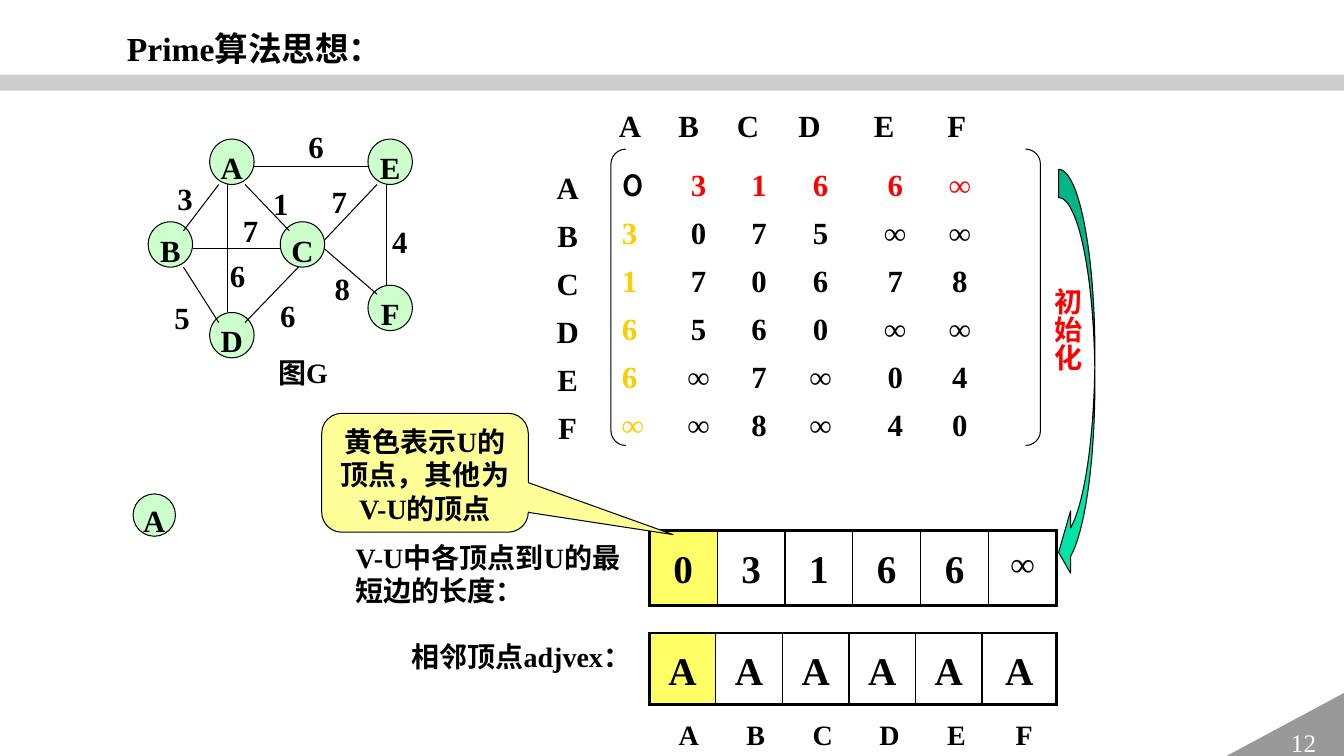
"""Build the slide on the Prime minimum spanning tree idea: graph, matrix and arrays."""
from dataclasses import dataclass
from typing import Optional

from lxml import etree
from pptx import Presentation
from pptx import util as u
from pptx.dml.color import RGBColor
from pptx.enum import shapes, text
from pptx.oxml.ns import qn

COLOURS = {
    "black": "000000", "white": "FFFFFF", "red": "FF0000", "gold": "FFCC00",
    "node": "CCFFCC", "seen": "FFFF66", "note": "FFFF99", "arrow": "00E4A8",
    "corner": "999999", "bar": "A6A6A6",
}
SERIF = "Times New Roman"
NO_GRID_STYLE = "{2D5ABB26-0587-4C30-8999-92F81FD0307C}"
WIDTH, HEIGHT = u.Inches(13.33), u.Inches(7.5)
COLUMNS, ROWS = 133.3, 75
VERTICES = "ABCDEF"
Point = tuple[float, float]
Area = tuple[float, float, float, float]


@dataclass
class Span:
    words: str
    size: float = 22
    colour: str = "black"
    font: str = SERIF
    bold: bool = True


@dataclass
class Node:
    name: str
    corner: Point
    size: Point = (4.4, 4.5)


@dataclass
class Edge:
    start: Point
    end: Point
    weight: str
    label: Point


@dataclass
class Strip:
    area: Area
    values: list[str]
    last_width: float
    size: float = 28
    last_size: float = 28
    ruled: bool = True


NODES = [
    Node("C", (27.8, 22)), Node("A", (20.8, 13.8)), Node("D", (20.8, 31)),
    Node("E", (36.5, 13.8)), Node("B", (14.7, 22)), Node("F", (36.5, 28.3)),
    Node("A", (13.2, 49), (4.2, 4.2)),
]
EDGES = [
    Edge((21.7, 18.3), (18.2, 22.9), "3", (17.6, 16.7)),
    Edge((18.2, 26.5), (21.7, 32), "5", (17.3, 28.5)),
    Edge((19.1, 24.7), (27.8, 24.7), "7", (24.1, 19.9)),
    Edge((22.6, 18.3), (22.6, 31), "6", (22.8, 24.4)),
    Edge((24.3, 18.3), (28.7, 22.9), "1", (27.1, 17.2)),
    Edge((29.6, 26.5), (24.3, 32), "6", (27.8, 28.3)),
    Edge((37.4, 18.3), (32.2, 23.8), "7", (32.9, 17)),
    Edge((32.2, 24.7), (37.4, 29.2), "8", (33.2, 25.7)),
    Edge((38.3, 18.3), (38.3, 28.3), "4", (38.9, 21)),
    Edge((25.2, 16.5), (36.5, 16.5), "6", (30.6, 11.6)),
]
MATRIX = ["03166∞", "3075∞∞", "170678", "6560∞∞", "6∞7∞04", "∞∞8∞40"]
MATRIX_TABS = [7.6, 13.6, 19.7, 27.1, 33.5]
HEADER_TABS = [1.6, 7.4, 13.3, 19.4, 26.8, 34]
STRIPS = [
    Strip((64.4, 52.6, 40.4, 7.5), list("03166∞"), 6.74, last_size=24),
    Strip((64.4, 62.8, 40.4, 6.7), ["A"] * 6, 7.4),
    Strip((65, 70.1, 40, 4.3), list(VERTICES), 6.8, 20, 20, False),
]

deck = Presentation()
deck.slide_width, deck.slide_height = WIDTH, HEIGHT
page = deck.slides.add_slide(deck.slide_layouts[6])


def across(columns: float) -> int:
    return round(WIDTH * columns / COLUMNS)


def down(rows: float) -> int:
    return round(HEIGHT * rows / ROWS)


def place(area: Area) -> tuple[int, int, int, int]:
    left, top, width, height = area
    return across(left), down(top), across(width), down(height)


def rgb(name: str) -> RGBColor:
    return RGBColor.from_string(COLOURS[name])


def write(frame, paras: list[list[Span]], centred: bool = False, spacing: float = 1.3,
          tabs: Optional[list[float]] = None) -> None:
    for index, spans in enumerate(paras):
        para = frame.add_paragraph() if index else frame.paragraphs[0]
        para.alignment = text.PP_ALIGN.CENTER if centred else text.PP_ALIGN.LEFT
        para.line_spacing = spacing
        if tabs:
            stops = etree.SubElement(para._p.get_or_add_pPr(), qn("a:tabLst"))
            for stop in tabs:
                etree.SubElement(stops, qn("a:tab"), pos=str(across(stop)), algn="ctr")
        for span in spans:
            run = para.add_run()
            run.text = span.words
            run.font.name, run.font.size = span.font, u.Pt(span.size)
            run.font.bold, run.font.color.rgb = span.bold, rgb(span.colour)


def add_text(area: Area, paras: list[list[Span]], inset: bool = True, vertical: bool = False,
             **layout) -> None:
    frame = page.shapes.add_textbox(*place(area)).text_frame
    frame.word_wrap = True
    frame.auto_size = text.MSO_AUTO_SIZE.SHAPE_TO_FIT_TEXT
    if not inset:
        frame.margin_left = frame.margin_top = frame.margin_right = frame.margin_bottom = 0
    if vertical:
        frame._txBody.bodyPr.set("vert", "eaVert")
    write(frame, paras, **layout)


def add_figure(kind, area: Area, fill: Optional[str] = None, lined: bool = True,
               adjust: tuple[float, ...] = ()):
    figure = page.shapes.add_shape(kind, *place(area))
    figure.shadow.inherit = False
    for index, value in enumerate(adjust):
        figure.adjustments[index] = value
    if fill:
        figure.fill.solid()
        figure.fill.fore_color.rgb = rgb(fill)
    else:
        figure.fill.background()
    if lined:
        figure.line.color.rgb, figure.line.width = rgb("black"), u.Pt(0.75)
    else:
        figure.line.fill.background()
    return figure


def add_node(node: Node) -> None:
    circle = add_figure(shapes.MSO_SHAPE.OVAL, node.corner + node.size, "node")
    circle.text_frame.word_wrap = False
    circle.text_frame.vertical_anchor = text.MSO_ANCHOR.MIDDLE
    write(circle.text_frame, [[Span(node.name)]], centred=True)


def add_edge(edge: Edge) -> None:
    (x1, y1), (x2, y2) = edge.start, edge.end
    line = page.shapes.add_connector(shapes.MSO_CONNECTOR.STRAIGHT,
                                     across(x1), down(y1), across(x2), down(y2))
    line.line.color.rgb, line.line.width = rgb("black"), u.Pt(0.75)
    etree.SubElement(line._element.spPr, qn("a:effectLst"))
    add_text(edge.label + (1.7, 4.3), [[Span(edge.weight)]], inset=False)


def rule_cell(cell, first: bool, last: bool) -> None:
    widths = {"lnL": 2.25 if first else 1, "lnR": 2.25 if last else 1, "lnT": 2.25, "lnB": 2.25}
    for side, width in widths.items():
        border = etree.SubElement(cell._tc.get_or_add_tcPr(), qn(f"a:{side}"),
                                  w=str(u.Pt(width)))
        paint = etree.SubElement(border, qn("a:solidFill"))
        etree.SubElement(paint, qn("a:srgbClr"), val=COLOURS["black"])


def add_strip(strip: Strip) -> None:
    count = len(strip.values)
    table = page.shapes.add_table(1, count, *place(strip.area)).table
    table.first_row = table.horz_banding = False
    table._tbl.tblPr.find(qn("a:tableStyleId")).text = NO_GRID_STYLE
    for index, value in enumerate(strip.values):
        last = index == count - 1
        share = (strip.area[2] - strip.last_width) / (count - 1)
        table.columns[index].width = across(strip.last_width if last else share)
        cell = table.cell(0, index)
        if strip.ruled:
            rule_cell(cell, index == 0, last)
        if strip.ruled and index == 0:
            cell.fill.solid()
            cell.fill.fore_color.rgb = rgb("seen")
        else:
            cell.fill.background()
        size = strip.last_size if last else strip.size
        write(cell.text_frame, [[Span(value, size)]], centred=True)


def matrix_row(index: int, values: str) -> list[Span]:
    first = Span(values[0], font="Cabin") if index == 0 else Span(values[0], colour="gold")
    rest = "".join(f"\t{value}" for value in values[1:])
    return [first, Span(rest, colour="black" if index else "red")]


def main() -> None:
    kinds = shapes.MSO_SHAPE
    bar = add_figure(kinds.RECTANGLE, (0, 7.4, COLUMNS, 1.6), "bar", False)
    tint = bar._element.spPr.find(qn("a:solidFill"))[0]
    etree.SubElement(tint, qn("a:alpha"), val="56000")
    corner = add_figure(kinds.RIGHT_TRIANGLE, (121.1, 68.7, 12.3, 6.6), "corner", False)
    corner._element.spPr.find(qn("a:xfrm")).set("flipH", "1")
    corner.text_frame.vertical_anchor = text.MSO_ANCHOR.MIDDLE
    write(corner.text_frame, [[Span("12", 18, "white", bold=False)]], centred=True, spacing=1)

    add_text((11.6, 1.1, 32.2, 5.7), [[Span("Prime算法思想：", 24)]])
    for strip in STRIPS:
        add_strip(strip)
    add_text((60.7, 14.8, 44.2, 29.9),
             [matrix_row(index, values) for index, values in enumerate(MATRIX)],
             tabs=MATRIX_TABS)
    add_figure(kinds.DOUBLE_BRACKET, (60.6, 14.8, 42.6, 29.4), adjust=(0.05,))
    add_figure(kinds.CURVED_LEFT_ARROW, (105, 16.8, 3.6, 41.1), "arrow",
               adjust=(0.78, 1.72, 0.33))
    add_text((39.5, 62, 24.4, 5.4), [[Span("相邻顶点adjvex：", 20)]], centred=True)
    add_text((34.3, 53.1, 30, 7.7), [[Span("V-U中各顶点到U的最短边的长度：", 20)]], spacing=1)
    add_text((103, 27.6, 6, 17.5), [[Span("初始化", 20, "red")]], vertical=True, centred=True)

    for node in NODES:
        add_node(node)
    add_text((26.6, 33.8, 7, 5), [[Span("图G", 20)]])
    for edge in EDGES:
        add_edge(edge)

    header = "".join(f"\t{name}" for name in VERTICES)
    add_text((59.9, 9, 42.5, 5.4), [[Span(header)]], tabs=HEADER_TABS)
    add_text((53.8, 15.1, 5, 29.9), [[Span(name)] for name in VERTICES], centred=True)
    note = add_figure(kinds.ROUNDED_RECTANGULAR_CALLOUT, (31.9, 41, 20.5, 11.8), "note",
                      adjust=(1.2, 0.52, 0.17))
    note.text_frame.word_wrap = True
    note.text_frame.vertical_anchor = text.MSO_ANCHOR.TOP
    write(note.text_frame, [[Span("黄色表示U的顶点，其他为V-U的顶点", 20)]],
          centred=True, spacing=1)
    deck.save("out.pptx")


if __name__ == "__main__":
    main()
